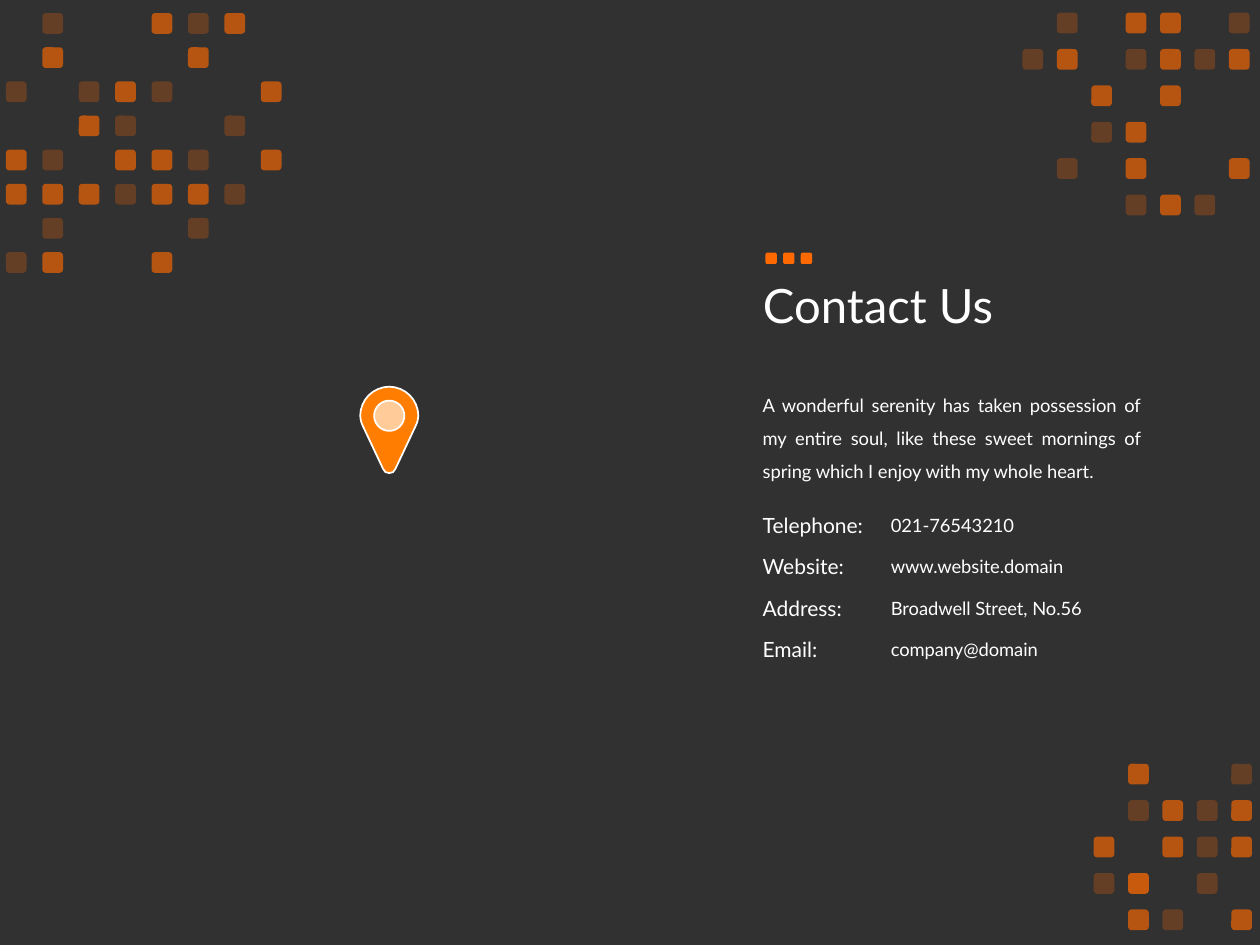
"""Build the dark contact slide with square mosaics and a map pin."""
from dataclasses import dataclass

from lxml import etree
from pptx import Presentation
from pptx import util as u
from pptx.dml.color import RGBColor
from pptx.enum import shapes, text
from pptx.oxml.ns import qn


@dataclass(frozen=True)
class Theme:
    background: str = "313131"
    ink: str = "FFFFFF"
    accent: str = "FE6902"
    pin: str = "FF7D01"
    pin_center: str = "FFCB99"
    font: str = "Lato"
    title_size: float = 27
    label_size: float = 12
    body_size: float = 10.5
    outline: float = 1
    strong: int = 65
    faint: int = 25


COLUMNS, ROWS = 100, 75
SQUARE = 1.64
THEME = Theme()
TINTS = {
    ".": (),
    "#": (THEME.strong,),
    "o": (THEME.faint,),
    "*": (THEME.strong, THEME.faint),
}
TOP_LEFT = (
    ".o..#o#.",
    ".#...#..",
    "o.o#o..#",
    "..#o..o.",
    "#o.##o.#",
    "###o##o.",
    ".o...o..",
    "o#..#...",
)
TOP_RIGHT = (
    ".o.##.o",
    "o#.o#o#",
    "..#.#..",
    "..o#...",
    ".o.#..#",
    "...o#o.",
)
BOTTOM_RIGHT = (
    ".#..o",
    ".o#o#",
    "#.#o#",
    "o*.o.",
    ".#o.#",
)
CONTACTS = (
    ("Telephone:", "021-76543210"),
    ("Website:", "www.website.domain"),
    ("Address:", "Broadwell Street, No.56"),
    ("Email:", "company@domain"),
)
PIN_HALF = (
    (0, -2.3),
    (1.27, -2.3), (2.3, -1.27), (2.3, 0),
    (2.3, 0.3), (2.2, 0.6), (2.1, 0.8),
    (0.5, 4.2), (0.5, 4.2), (0.5, 4.2),
    (0.4, 4.45), (0.25, 4.55), (0, 4.55),
)
HOLE_HALF = (
    (0, -1.2),
    (0.66, -1.2), (1.2, -0.66), (1.2, 0),
    (1.2, 0.66), (0.66, 1.2), (0, 1.2),
)


def write_text(frame, words, size, color, font, align=text.PP_ALIGN.LEFT,
               spacing=None, anchor=text.MSO_ANCHOR.TOP,
               fit=text.MSO_AUTO_SIZE.SHAPE_TO_FIT_TEXT):
    frame.word_wrap = True
    frame.auto_size = fit
    frame.vertical_anchor = anchor
    paragraph = frame.paragraphs[0]
    paragraph.text = words
    paragraph.alignment = align
    paragraph.line_spacing = spacing
    paragraph.font.name = font
    paragraph.font.size = u.Pt(size)
    paragraph.font.color.rgb = RGBColor.from_string(color)


def mirror(half):
    return list(half) + [(-column, row) for column, row in reversed(half[:-1])]


def curve_segments(shape):
    lines = list(shape.element.iter(qn("a:lnTo")))
    for first, second, third in zip(lines[::3], lines[1::3], lines[2::3]):
        curve = etree.Element(qn("a:cubicBezTo"))
        first.addprevious(curve)
        for line in (first, second, third):
            curve.append(line[0])
            line.getparent().remove(line)


class SlideBuilder:
    def __init__(self, presentation, theme):
        self.theme = theme
        self.cell = presentation.slide_width / COLUMNS
        self.slide = presentation.slides.add_slide(presentation.slide_layouts[5])
        fill = self.slide.background.fill
        fill.solid()
        fill.fore_color.rgb = RGBColor.from_string(theme.background)

    def place(self, *lengths):
        return [u.Emu(round(length * self.cell)) for length in lengths]

    def group(self):
        return self.slide.shapes.add_group_shape().shapes

    def paint(self, shape, color, alpha=None, outlined=False):
        shape.shadow.inherit = False
        shape.fill.solid()
        shape.fill.fore_color.rgb = RGBColor.from_string(color)
        if alpha is not None:
            tint = shape.element.spPr.find(".//" + qn("a:srgbClr"))
            etree.SubElement(tint, qn("a:alpha"), val=str(alpha * 1000))
        if outlined:
            shape.line.color.rgb = RGBColor.from_string(self.theme.ink)
            shape.line.width = u.Pt(self.theme.outline)
        else:
            shape.line.fill.background()

    def square(self, group, column, row, size, alpha=None):
        shape = group.add_shape(shapes.MSO_SHAPE.ROUNDED_RECTANGLE,
                                *self.place(column, row, size, size))
        self.paint(shape, self.theme.accent, alpha)

    def mosaic(self, pattern, left, top, column_step, row_step):
        group = self.group()
        for row, marks in enumerate(pattern):
            for column, mark in enumerate(marks):
                for alpha in TINTS[mark]:
                    self.square(group, left + column * column_step,
                                top + row * row_step, SQUARE, alpha)

    def dots(self, left, top, size, step, count):
        group = self.group()
        for index in range(count):
            self.square(group, left + index * step, top, size)

    def pin(self, column, row):
        group = self.group()
        center = group.add_shape(shapes.MSO_SHAPE.OVAL,
                                 *self.place(column - 1.3, row - 1.3, 2.6, 2.6))
        self.paint(center, self.theme.pin_center, outlined=True)
        outline, hole = ([self.place(column + across, row + down)
                          for across, down in mirror(half)]
                         for half in (PIN_HALF, HOLE_HALF))
        builder = group.build_freeform(*outline[0])
        builder.add_line_segments(outline[1:], close=True)
        builder.move_to(*hole[0])
        builder.add_line_segments(hole[1:], close=True)
        shape = builder.convert_to_shape()
        curve_segments(shape)
        self.paint(shape, self.theme.pin, outlined=True)

    def title(self, words, *box):
        shape = self.slide.shapes.title
        shape.left, shape.top, shape.width, shape.height = self.place(*box)
        write_text(shape.text_frame, words, self.theme.title_size, self.theme.ink,
                   self.theme.font, spacing=0.9, anchor=text.MSO_ANCHOR.MIDDLE,
                   fit=text.MSO_AUTO_SIZE.NONE)

    def text(self, words, *box, size, **formatting):
        shape = self.slide.shapes.add_textbox(*self.place(*box))
        write_text(shape.text_frame, words, size, self.theme.ink, self.theme.font,
                   **formatting)


def main():
    presentation = Presentation()
    presentation.slide_width = u.Inches(10)
    presentation.slide_height = presentation.slide_width * ROWS // COLUMNS
    builder = SlideBuilder(presentation, THEME)
    builder.mosaic(TOP_LEFT, 0.47, 1.04, 2.89, 2.71)
    builder.title("Contact Us", 59.55, 17.2, 86.2, 14.5)
    builder.text("A wonderful serenity has taken possession of my entire soul, "
                 "like these sweet mornings of spring which I enjoy with my whole heart.",
                 59.55, 29.95, 32, 8.6, size=THEME.body_size,
                 align=text.PP_ALIGN.JUSTIFY, spacing=1.5)
    for index, (label, value) in enumerate(CONTACTS):
        row = 40.2 + index * 3.28
        builder.text(label, 59.55, row, 15.6, 3, size=THEME.label_size)
        builder.text(value, 69.72, row + 0.12, 19.3, 2.8, size=THEME.body_size)
    builder.pin(30.9, 33)
    builder.mosaic(TOP_RIGHT, 81.15, 1, 2.73, 2.89)
    builder.mosaic(BOTTOM_RIGHT, 86.8, 60.62, 2.73, 2.89)
    builder.dots(60.75, 20.05, 0.9, 1.4, 3)
    presentation.save("out.pptx")


if __name__ == "__main__":
    main()
